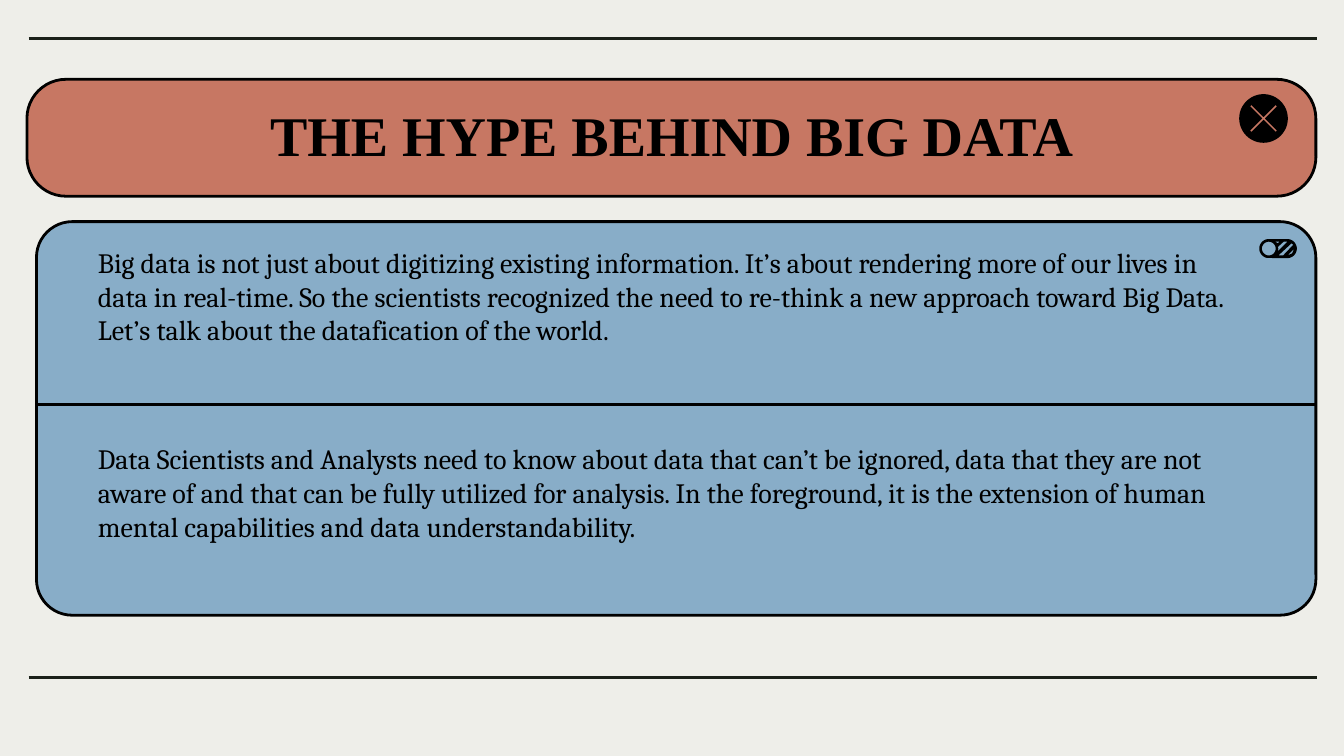
import math

import pptx
import pptx.dml.color
import pptx.enum.shapes
import pptx.enum.text
import pptx.oxml
import pptx.util

Cm = pptx.util.Cm
Pt = pptx.util.Pt
RGBColor = pptx.dml.color.RGBColor
MSO_SHAPE = pptx.enum.shapes.MSO_SHAPE

PAPER = RGBColor(0xEE, 0xEE, 0xE9)
BLACK = RGBColor(0x00, 0x00, 0x00)
RULE = RGBColor(0x1B, 0x21, 0x19)
CLAY = RGBColor(0xC7, 0x77, 0x63)
BLUE = RGBColor(0x88, 0xAD, 0xC8)


def paint(shape, fill, outlined=False):
    shape.shadow.inherit = False
    shape.fill.solid()
    shape.fill.fore_color.rgb = fill
    if outlined:
        shape.line.color.rgb = BLACK
        shape.line.width = Pt(1.5)
    else:
        shape.line.fill.background()


def outline(shapes, contours):
    """Build one freeform from closed contours given in centimetres."""
    paths = [[(Cm(x), Cm(y)) for x, y in contour] for contour in contours]
    builder = shapes.build_freeform(*paths[0][0])
    for number, path in enumerate(paths):
        if number:
            builder.move_to(*path[0])
        builder.add_line_segments(path[1:], close=True)
    return builder.convert_to_shape()


deck = pptx.Presentation()
deck.slide_width = Cm(25.4)
deck.slide_height = Cm(14.29)
slide = deck.slides.add_slide(deck.slide_layouts[5])
slide.background.fill.solid()
slide.background.fill.fore_color.rgb = PAPER
shapes = slide.shapes

# Banner and text panel
for top, height, corner, fill, left in (
    (1.5, 2.21, 0.334, CLAY, 0.51),
    (4.19, 7.44, 0.091, BLUE, 0.69),
):
    panel = shapes.add_shape(
        MSO_SHAPE.ROUNDED_RECTANGLE, Cm(left), Cm(top), Cm(24.87 - left), Cm(height))
    panel.adjustments[0] = corner
    paint(panel, fill, outlined=True)

# Rules above and below, and the panel divider
for start, end, y, color in (
    (0.54, 24.89, 0.73, RULE),
    (0.54, 24.89, 12.8, RULE),
    (0.69, 24.87, 7.65, BLACK),
):
    rule = shapes.add_connector(
        pptx.enum.shapes.MSO_CONNECTOR.STRAIGHT, Cm(start), Cm(y), Cm(end), Cm(y))
    rule.line.color.rgb = color
    rule.line.width = Pt(1.5)
    rule.element.spPr.append(pptx.oxml.parse_xml(
        '<a:effectLst xmlns:a="http://schemas.openxmlformats.org/drawingml/2006/main"/>'))

# Title, brought in front of the banner
title = shapes.title
title.left, title.top, title.width, title.height = Cm(1.98), Cm(1.9), Cm(21.44), Cm(1.57)
rule.element.addnext(title.element)
heading = title.text_frame
heading.text = "THE HYPE BEHIND BIG DATA"
heading.word_wrap = True
heading.auto_size = pptx.enum.text.MSO_AUTO_SIZE.NONE
heading.vertical_anchor = pptx.enum.text.MSO_ANCHOR.MIDDLE
heading.margin_left = heading.margin_right = Cm(0.25)
heading.margin_top = heading.margin_bottom = Cm(0.25)
line = heading.paragraphs[0]
line.alignment = pptx.enum.text.PP_ALIGN.CENTER
line.line_spacing = 0.7
line.font.name = "Times New Roman"
line.font.size = Pt(30)
line.font.bold = True
line.font.color.rgb = BLACK

# Close button: one arm of the cross, turned four times
button = shapes.add_group_shape()
disc = button.shapes.add_shape(MSO_SHAPE.OVAL, Cm(23.42), Cm(1.78), Cm(0.92), Cm(0.92))
paint(disc, BLACK)
arm = [(0, -0.02), (-0.23, -0.25), (-0.25, -0.23)]
cross = []
for turn in range(4):
    cross += [(23.88 + x, 2.24 + y) for x, y in arm]
    arm = [(y, -x) for x, y in arm]
paint(outline(button.shapes, [cross]), CLAY)

# Toggle icon: a pill with a round hole and slanted slits
knob_x, end_x, middle = 23.98, 24.33, 4.7
pill, knob = [], []
for degrees in range(0, 360, 10):
    across, down = math.cos(math.radians(degrees)), math.sin(math.radians(degrees))
    center = knob_x if 90 < degrees < 270 else end_x
    pill.append((center + 0.18 * across, middle + 0.18 * down))
    knob.append((knob_x + 0.13 * across, middle + 0.13 * down))
slits = [
    [(24.18, 4.57), (24.15, 4.6), (24.1, 4.57)],
    [(24.33, 4.57), (24.15, 4.75), (24.16, 4.7), (24.15, 4.67), (24.26, 4.57)],
    [(24.41, 4.6), (24.44, 4.63), (24.25, 4.83), (24.16, 4.83)],
    [(24.46, 4.7), (24.42, 4.79), (24.33, 4.83)],
]
paint(outline(shapes, [pill, knob, *slits]), BLACK)

# Body text
for top, width, text in (
    (4.52, 21.82, "Big data is not just about digitizing existing information. It’s about "
     "rendering more of our lives in data in real-time. So the scientists recognized the need "
     "to re-think a new approach toward Big Data. Let’s talk about the datafication of the world."),
    (8.23, 22.35, "Data Scientists and Analysts need to know about data that can’t be ignored, "
     "data that they are not aware of and that can be fully utilized for analysis. In the "
     "foreground, it is the extension of human mental capabilities and data understandability."),
):
    body = shapes.add_textbox(Cm(1.6), Cm(top), Cm(width), Cm(2.82)).text_frame
    body.word_wrap = True
    body.auto_size = pptx.enum.text.MSO_AUTO_SIZE.SHAPE_TO_FIT_TEXT
    body.text = text
    passage = body.paragraphs[0]
    passage.font.name = "Cambria"
    passage.font.size = Pt(15)
    passage.font.color.rgb = BLACK

deck.save("out.pptx")
